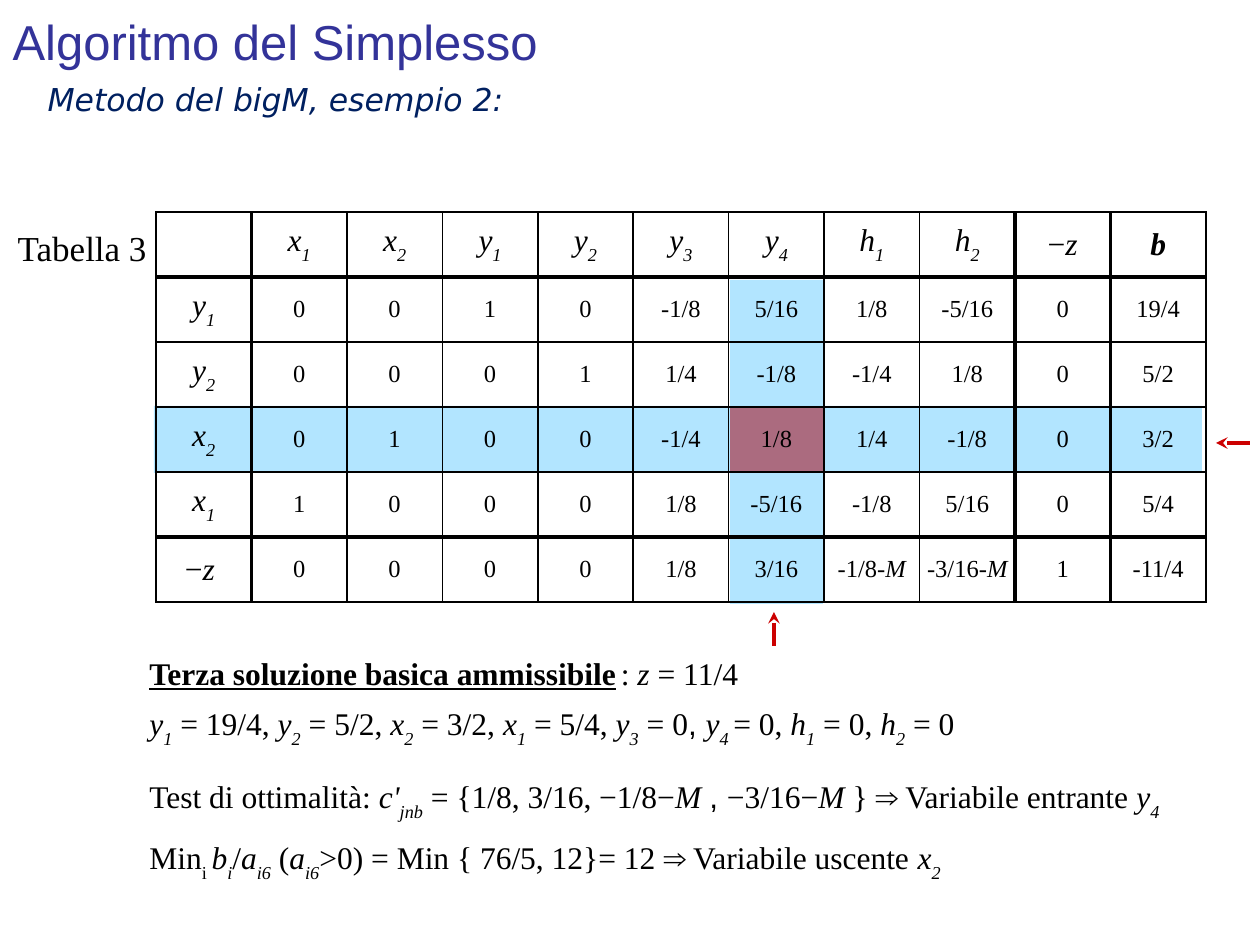
"""Build the slide on the third tableau of the simplex big-M example."""
from dataclasses import dataclass
from lxml import etree
from pptx import Presentation
from pptx import util as u
from pptx.dml.color import RGBColor
from pptx.enum import shapes, text
from pptx.oxml.ns import qn


@dataclass(frozen=True)
class Theme:
    ink: str = "000000"
    title: str = "333399"
    sub: str = "002060"
    band: str = "66CCFF"
    mark: str = "CC0000"
    serif: str = "Times New Roman"
    sans: str = "Arial"
    wide: str = "DejaVu Sans"
    head: int = 28
    label: int = 20
    body: int = 18
    small: int = 14
    thin: float = 1
    thick: float = 2.25


T = Theme()
PX = 914400 / 126
LEFT, RIGHT = text.PP_ALIGN.LEFT, text.PP_ALIGN.RIGHT
MID, JUST = text.PP_ALIGN.CENTER, text.PP_ALIGN.JUSTIFY

STYLES = {
    "*": {"italic": True},
    "_": {"italic": True, "base": -30},
    "^": {"base": -30},
    "!": {"bold": True, "underline": True},
    "#": {"bold": True, "italic": True},
    "@": {"name": T.sans},
}

TITLE = ("Algoritmo del Simplesso", (0, -4, 1134, 90), T.head, T.sans, T.title)
SUB = ("*Metodo del bigM, esempio 2:", (35, 74, 1074, 50), T.body, T.wide, T.sub)

TABLE = (156, 212, 1050, 390)
ROWS = [
    ["", "*x|_1", "*x|_2", "*y|_1", "*y|_2", "*y|_3", "*y|_4", "*h|_1", "*h|_2", "−|*z", "#b"],
    ["*y|_1", "0", "0", "1", "0", "-1/8", "5/16", "1/8", "-5/16", "0", "19/4"],
    ["*y|_2", "0", "0", "0", "1", "1/4", "-1/8", "-1/4", "1/8", "0", "5/2"],
    ["*x|_2", "0", "1", "0", "0", "-1/4", "1/8", "1/4", "-1/8", "0", "3/2"],
    ["*x|_1", "1", "0", "0", "0", "1/8", "-5/16", "-1/8", "5/16", "0", "5/4"],
    ["−|*z\u00a0", "0", "0", "0", "0", "1/8", "3/16", "-1/8-|*M", "-3/16-|*M", "1", "-11/4"],
]
HEAVY_COLS = {1, 9, 10}
HEAVY_ROWS = {1, 5}

BANDS = [
    ((154, 406, 1048, 67), T.band),
    ((730, 280, 93, 324), T.band),
    ((730, 408, 93, 64), T.mark),
]
ARROWS = [(774, 612, 774, 646), (1216, 443, 1250, 443)]

NOTES = [
    ("Tabella 3", (-9, 220, 168, 54), T.label, RIGHT),
    ("!Terza soluzione basica ammissibile|_ |: |*z| = 11/4", (137, 648, 995, 63), T.body, JUST),
    ("*y|_1| = 19/4, |*y|_2| = 5/2, |*x|_2| = 3/2, |*x|_1| = 5/4, |*y|_3| = 0|@, |*y|_4 |"
     "= 0, |*h|_1| = 0, |*h|_2| = 0", (137, 698, 995, 63), T.body, JUST),
    ("Test di ottimalità: |*c'|_jnb| = {1/8, 3/16, −1/8−|*M |@, |−3/16−|*M |"
     "} ⇒ Variabile entrante |*y|_4", (137, 771, 1070, 63), T.body, JUST),
    ("Min|^i |*b|_i|/|*a|_i6| (|*a|_i6|>0) = Min { 76/5, 12}= 12 ⇒ Variabile uscente |*x|_2",
     (137, 832, 995, 50), T.body, JUST),
]


def px(*vals):
    return [round(v * PX) for v in vals]


def rgb(code):
    return RGBColor.from_string(code)


def write(frame, line, size, face=T.serif, color=T.ink, align=LEFT):
    para = frame.paragraphs[0]
    para.alignment = align
    para.space_before = u.Pt(0)
    for part in filter(None, line.split("|")):
        style = STYLES.get(part[0], {})
        run = para.add_run()
        run.text = part[1:] if style else part
        font = run.font
        font.size = u.Pt(size)
        font.name = style.get("name", face)
        font.color.rgb = rgb(color)
        font.bold = style.get("bold", False)
        font.italic = style.get("italic", False)
        font.underline = style.get("underline", False)
        if "base" in style:
            run._r.get_or_add_rPr().set("baseline", str(style["base"] * 1000))


def fill_holder(holder, spec, anchor):
    line, box, size, face, color = spec
    holder.left, holder.top, holder.width, holder.height = px(*box)
    frame = holder.text_frame
    frame.auto_size = text.MSO_AUTO_SIZE.NONE
    frame.vertical_anchor = anchor
    props = frame.paragraphs[0]._p.get_or_add_pPr()
    props.set("marL", "0")
    props.set("indent", "0")
    etree.SubElement(props, qn("a:buNone"))
    write(frame, line, size, face, color)


def add_band(slide, box, color):
    band = slide.shapes.add_shape(shapes.MSO_SHAPE.RECTANGLE, *px(*box))
    band.shadow.inherit = False
    band.fill.solid()
    band.fill.fore_color.rgb = rgb(color)
    band.line.fill.background()
    tint = band._element.spPr.find(".//" + qn("a:srgbClr"))
    etree.SubElement(tint, qn("a:alpha"), val="50000")


def add_arrow(slide, ends):
    arrow = slide.shapes.add_connector(shapes.MSO_CONNECTOR.STRAIGHT, *px(*ends))
    arrow.line.color.rgb = rgb(T.mark)
    arrow.line.width = u.Pt(T.thick)
    etree.SubElement(arrow.line._get_or_add_ln(), qn("a:headEnd"), type="stealth")
    etree.SubElement(arrow._element.spPr, qn("a:effectLst"))


def add_note(slide, line, box, size, align):
    frame = slide.shapes.add_textbox(*px(*box)).text_frame
    frame.word_wrap = True
    write(frame, line, size, align=align)


def edge(cell, side, heavy):
    width = u.Pt(T.thick if heavy else T.thin)
    rule = etree.SubElement(cell._tc.get_or_add_tcPr(), qn("a:" + side), w=str(width))
    paint = etree.SubElement(rule, qn("a:solidFill"))
    etree.SubElement(paint, qn("a:srgbClr"), val=T.ink)


def add_grid(slide):
    rows, cols = len(ROWS), len(ROWS[0])
    grid = slide.shapes.add_table(rows, cols, *px(*TABLE)).table
    grid.first_row = grid.horz_banding = False
    for col in grid.columns:
        col.width = round(TABLE[2] * PX / cols)
    for r, row in enumerate(ROWS):
        for c, line in enumerate(row):
            cell = grid.cell(r, c)
            cell.vertical_anchor = text.MSO_ANCHOR.MIDDLE
            cell.margin_left = cell.margin_right = u.Inches(0.02)
            edge(cell, "lnL", c in HEAVY_COLS)
            edge(cell, "lnR", c + 1 in HEAVY_COLS)
            edge(cell, "lnT", r in HEAVY_ROWS)
            edge(cell, "lnB", r + 1 in HEAVY_ROWS)
            cell.fill.background()
            write(cell.text_frame, line, T.small if r and c else T.body, align=MID)


def main():
    deck = Presentation()
    deck.slide_width, deck.slide_height = px(1260, 945)
    slide = deck.slides.add_slide(deck.slide_layouts[1])
    fill_holder(slide.shapes.title, TITLE, text.MSO_ANCHOR.MIDDLE)
    fill_holder(slide.placeholders[1], SUB, text.MSO_ANCHOR.TOP)
    for box, color in BANDS:
        add_band(slide, box, color)
    for ends in ARROWS:
        add_arrow(slide, ends)
    add_grid(slide)
    for note in NOTES:
        add_note(slide, *note)
    deck.save("out.pptx")


if __name__ == "__main__":
    main()
